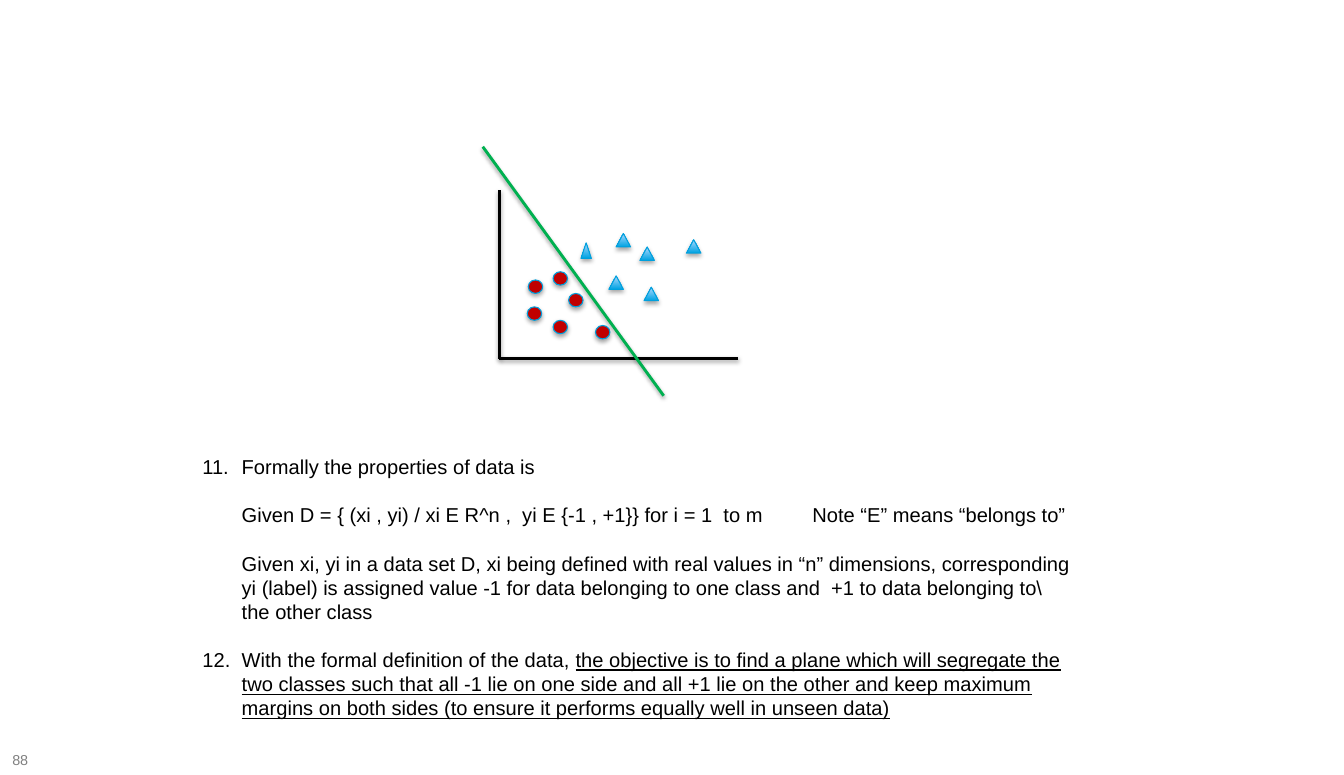
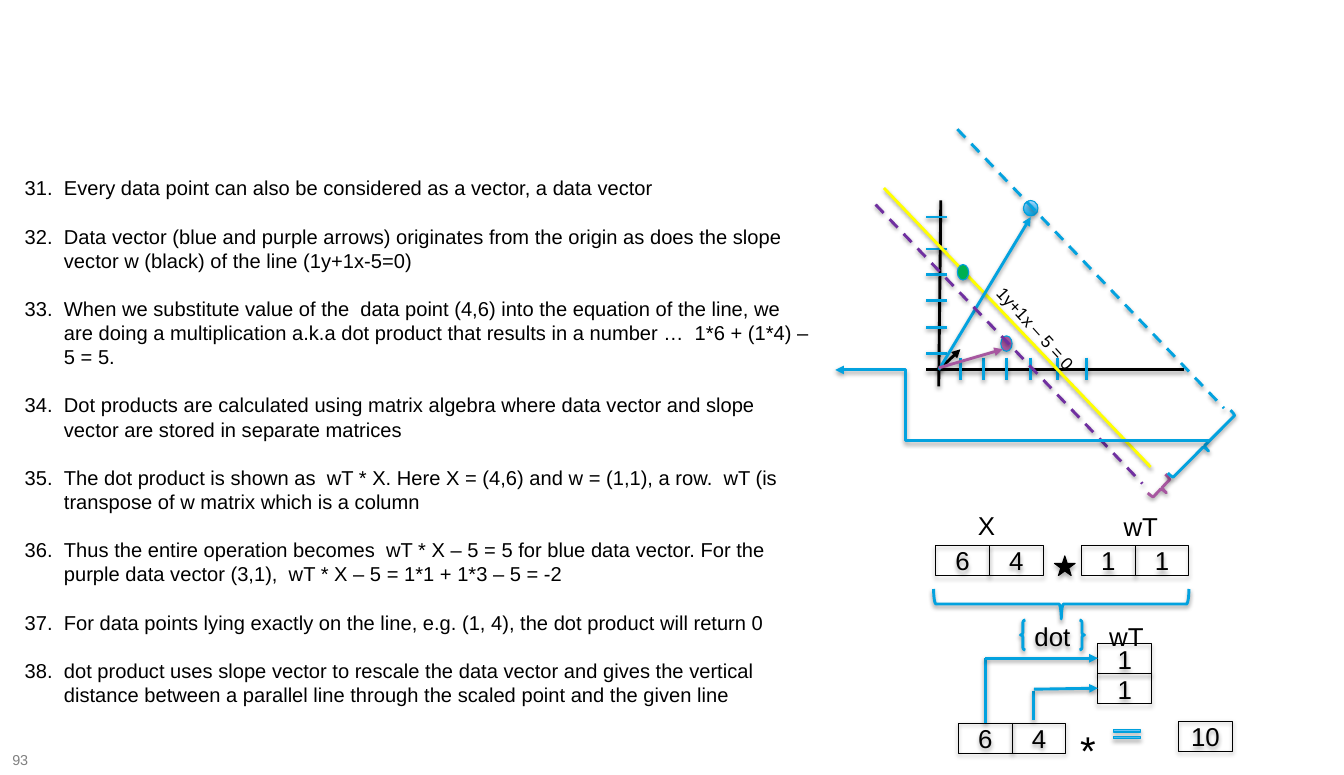
"""Build two support-vector slides: separating data by a plane, and the dot product."""
from lxml.etree import SubElement
from pptx import Presentation
from pptx.dml.color import RGBColor
from pptx.enum.dml import MSO_LINE
from pptx.enum.shapes import MSO_CONNECTOR as LINK, MSO_SHAPE as SHAPE
from pptx.enum.text import MSO_ANCHOR as ANCHOR, PP_ALIGN as ALIGN
from pptx.oxml.ns import qn
from pptx.util import Inches, Pt

BLACK = RGBColor(0x00, 0x00, 0x00)
GREY = RGBColor(0x80, 0x80, 0x80)
GREEN = RGBColor(0x00, 0xB0, 0x50)
RED = RGBColor(0xC0, 0x00, 0x00)
YELLOW = RGBColor(0xFF, 0xFF, 0x00)
VIOLET = RGBColor(0x70, 0x30, 0xA0)
PURPLE = RGBColor(0xA7, 0x57, 0xA0)
BLUE = RGBColor(0x03, 0xA2, 0xDF)
EDGE_BLUE = RGBColor(0x00, 0xA0, 0xDD)
DEEP_BLUE = RGBColor(0x00, 0xA3, 0xE2)
PALE_BLUE = RGBColor(0xAD, 0xD8, 0xFF)
GRADIENT = (DEEP_BLUE, PALE_BLUE)

FONT = "Arial"
LINE_PITCH = Pt(16.8)
INDENT = 0.38
CELL_WIDTH, CELL_HEIGHT = 0.52, 0.29
DOT = (0.14, 0.13)

PLANE_START, DATA_START = 11, 31
PLANE_NOTES = [
    {"start": PLANE_START, "runs": ["Formally the properties of data is"]},
    {"runs": ["Given D = { (xi , yi) / xi E R^n ,  yi E {-1 , +1}} for i = 1  to m\t"
              "Note “E” means “belongs to”"], "tab": 5.52},
    {"runs": ["Given xi, yi in a data set D, xi being defined with real values in “n” "
              "dimensions, corresponding"]},
    {"runs": ["yi (label) is assigned value -1 for data belonging to one class and  "
              "+1 to data belonging to\\"], "joined": True},
    {"runs": ["the other class"], "joined": True},
    {"start": PLANE_START + 1, "runs": [
        "With the formal definition of the data, ",
        "the objective is to find a plane which will segregate the two classes such that "
        "all -1 lie on one side and all +1 lie on the other and keep maximum margins on "
        "both sides (to ensure it performs equally well in unseen data)"]},
]
DATA_NOTES = [{"start": DATA_START, "runs": [text]} for text in (
    "Every data point can also be considered as a vector, a data vector",
    "Data vector (blue and purple arrows) originates from the origin as does the slope "
    "vector w (black) of the line (1y+1x-5=0)",
    "When we substitute value of the  data point (4,6) into the equation of the line, we "
    "are doing a multiplication a.k.a dot product that results in a number …  "
    "1*6 + (1*4) – 5 = 5.",
    "Dot products are calculated using matrix algebra where data vector and slope vector "
    "are stored in separate matrices",
    "The dot product is shown as  wT * X. Here X = (4,6) and w = (1,1), a row.  wT (is "
    "transpose of w matrix which is a column",
    "Thus the entire operation becomes  wT * X – 5 = 5 for blue data vector. For the "
    "purple data vector (3,1),  wT * X – 5 = 1*1 + 1*3 – 5 = -2",
    "For data points lying exactly on the line, e.g. (1, 4), the dot product will return 0",
    "dot product uses slope vector to rescale the data vector and gives the vertical "
    "distance between a parallel line through the scaled point and the given line",
)]

TRIANGLES = [(5.96, 2.26), (6.19, 2.39), (6.64, 2.32), (6.23, 2.78), (5.89, 2.67)]
CIRCLES = [(5.35, 2.63), (5.5, 2.84), (5.76, 3.15), (5.35, 3.1), (5.1, 2.97), (5.11, 2.71)]
PLANE_LINES = [
    ((4.83, 1.84), (4.83, 3.47), BLACK),
    ((7.14, 3.47), (4.83, 3.47), BLACK),
]

X_TICKS = [9.29, 9.51, 9.74, 9.97, 10.23, 10.51]
Y_TICKS = [3.42, 3.17, 2.91, 2.66, 2.41, 2.1]
PARALLEL_RUN = (2.58, 2.7)
DASHED_STARTS = [((8.47, 1.98), VIOLET), ((9.26, 1.25), BLUE)]
DATA_POINTS = [
    ((9.9, 1.94, 0.14, 0.15), GRADIENT),
    ((9.68, 3.25, 0.11, 0.15), PURPLE),
    ((9.26, 2.56, 0.11, 0.15), GREEN),
]
VECTORS = [
    ((9.1, 3.56), (9.29, 3.38), BLACK),
    ((9.08, 3.58), (9.97, 2.1), BLUE),
    ((9.08, 3.56), (9.7, 3.38), PURPLE),
]
BRACES = [
    ((11.17, 4.6, 0.13, 0.25), 43.3, PURPLE),
    ((11.58, 3.89, 0.13, 0.86), 44.9, BLUE),
    ((10.12, 4.61, 0.29, 2.47), 90, BLUE),
]
MATRICES = [
    ((10.46, 5.28), [["1", "1"]]),
    ((9.05, 5.28), [["6", "4"]]),
    ((9.27, 7), [["6", "4"]]),
    ((10.62, 6.23), [["1"], ["1"]]),
    ((11.4, 6.98), [["10"]]),
]
LABELS = [
    ((9.36, 4.88, 0.4, 0.37), "X", 18, 0),
    ((10.77, 4.89, 0.6, 0.37), "wT", 18, 0),
    ((10.63, 5.96, 0.61, 0.37), "wT", 18, 0),
    ((10.35, 6.97, 0.29, 0.53), "*", 28, 0),
    ((9.42, 3.03, 1.21, 0.28), "1y+1x – 5 = 0", 12, 47.8),
]
PRODUCT_LINKS = [
    ((9.53, 7), (9.53, 6.37), False),
    ((10, 6.97), (10, 6.69), False),
    ((9.53, 6.37), (10.62, 6.37), True),
    ((10, 6.67), (10.62, 6.66), True),
]


def apply(target, **values):
    for name, value in values.items():
        setattr(target, name, value)


def set_font(font, size, color=BLACK):
    apply(font, name=FONT, size=Pt(size))
    font.color.rgb = color


def add_shadow(properties, opacity, distance):
    effects = properties.find(qn("a:effectLst"))
    if effects is None:
        effects = SubElement(properties, qn("a:effectLst"))
    shadow = SubElement(effects, qn("a:outerShdw"), blurRad=str(Pt(3.1)),
                        dist=str(Pt(distance)), dir="5400000", rotWithShape="0")
    color = SubElement(shadow, qn("a:srgbClr"), val=str(BLACK))
    SubElement(color, qn("a:alpha"), val=str(opacity * 1000))


def add_line(slide, start, end, color, arrow=False, dashed=False, kind=LINK.STRAIGHT):
    line = slide.shapes.add_connector(kind, *map(Inches, start + end))
    line.line.color.rgb = color
    line.line.width = Pt(2)
    if dashed:
        line.line.dash_style = MSO_LINE.DASH
    if arrow:
        outline = line._element.spPr.find(qn("a:ln"))
        SubElement(outline, qn("a:tailEnd"), type="triangle")
    add_shadow(line._element.spPr, 38, 1.6)
    return line


def add_figure(slide, kind, box, fill=None, edge=EDGE_BLUE, width=0.75, rotation=0):
    shape = slide.shapes.add_shape(kind, *map(Inches, box))
    apply(shape, rotation=rotation)
    if fill is None:
        shape.fill.background()
    elif fill is GRADIENT:
        shape.fill.gradient()
        shape.fill.gradient_angle = 90
        for stop, color, position in zip(shape.fill.gradient_stops, GRADIENT, (0, 1)):
            stop.color.rgb = color
            stop.position = position
    else:
        shape.fill.solid()
        shape.fill.fore_color.rgb = fill
    shape.line.color.rgb = edge
    shape.line.width = Pt(width)
    shape.shadow.inherit = False
    add_shadow(shape._element.spPr, *((38, 1.6) if width == 2 else (35, 1.8)))
    return shape


def write(shape, text, size, color=BLACK, align=ALIGN.CENTER, anchor=ANCHOR.MIDDLE):
    apply(shape.text_frame, word_wrap=False, vertical_anchor=anchor)
    paragraph = shape.text_frame.paragraphs[0]
    apply(paragraph, text=text, alignment=align)
    set_font(paragraph.runs[0].font, size, color)


def add_label(slide, box, text, size, rotation=0, color=BLACK, anchor=ANCHOR.TOP):
    label = slide.shapes.add_textbox(*map(Inches, box))
    apply(label, rotation=rotation)
    write(label, text, size, color, ALIGN.LEFT, anchor)


def add_notes(slide, box, notes):
    frame = slide.shapes.add_textbox(*map(Inches, box)).text_frame
    apply(frame, word_wrap=True, margin_top=Inches(0.36))
    for index, note in enumerate(notes):
        paragraph = frame.add_paragraph() if index else frame.paragraphs[0]
        gap = LINE_PITCH if index and not note.get("joined") else Pt(0)
        apply(paragraph, line_spacing=LINE_PITCH, space_before=gap)
        properties = paragraph._p.get_or_add_pPr()
        properties.set("marL", str(Inches(INDENT)))
        if "start" in note:
            properties.set("indent", str(-Inches(INDENT)))
            SubElement(properties, qn("a:buFont"), typeface=FONT)
            SubElement(properties, qn("a:buAutoNum"), type="arabicPeriod",
                       startAt=str(note["start"]))
        if "tab" in note:
            tabs = SubElement(properties, qn("a:tabLst"))
            SubElement(tabs, qn("a:tab"), pos=str(Inches(note["tab"])), algn="l")
        set_font(paragraph.font, 14)
        for position, text in enumerate(note["runs"]):
            run = paragraph.add_run()
            run.text = text
            set_font(run.font, 14)
            if position:
                run.font.underline = True


def add_slide(presentation, number, box, notes):
    slide = presentation.slides.add_slide(presentation.slide_layouts[6])
    add_label(slide, (0.02, 7.27, 0.51, 0.16), number, 10, color=GREY, anchor=ANCHOR.MIDDLE)
    add_notes(slide, box, notes)
    return slide


def draw_plane(slide):
    for start, end, color in PLANE_LINES:
        add_line(slide, start, end, color)
    add_figure(slide, SHAPE.ISOSCELES_TRIANGLE, (5.62, 2.35, 0.1, 0.15), GRADIENT)
    for kind, corners, fill in ((SHAPE.ISOSCELES_TRIANGLE, TRIANGLES, GRADIENT),
                                (SHAPE.OVAL, CIRCLES, RED)):
        for corner in corners:
            add_figure(slide, kind, corner + DOT, fill)
    add_line(slide, (4.67, 1.42), (6.42, 3.83), GREEN)


def add_parallel(slide, start, color, dashed):
    end = (start[0] + PARALLEL_RUN[0], start[1] + PARALLEL_RUN[1])
    add_line(slide, start, end, color, dashed=dashed)


def draw_vectors(slide):
    add_line(slide, (11.45, 3.58), (8.96, 3.58), BLACK)
    for x in X_TICKS:
        add_line(slide, (x, 3.46), (x, 3.68), BLUE)
    add_line(slide, (9.1, 1.94), (9.08, 3.74), BLACK)
    for y in Y_TICKS:
        add_line(slide, (8.96, y), (9.16, y), BLUE)
    add_parallel(slide, (8.55, 1.82), YELLOW, dashed=False)
    for box, fill in DATA_POINTS:
        add_figure(slide, SHAPE.OVAL, box, fill)
    for start, end, color in VECTORS:
        add_line(slide, start, end, color, arrow=True)
    for start, color in DASHED_STARTS:
        add_parallel(slide, start, color, dashed=True)
    for box, rotation, color in BRACES:
        add_figure(slide, SHAPE.RIGHT_BRACE, box, edge=color, width=2, rotation=rotation)
    elbow = add_line(slide, (11.69, 4.26), (8.08, 3.58), BLUE, arrow=True, kind=LINK.ELBOW)
    geometry = elbow._element.spPr.find(qn("a:prstGeom"))
    SubElement(geometry.find(qn("a:avLst")), qn("a:gd"), name="adj1", fmla="val 81100")


def draw_product(slide):
    for (left, top), rows in MATRICES:
        for row, values in enumerate(rows):
            for column, value in enumerate(values):
                box = (left + column * CELL_WIDTH, top + row * CELL_HEIGHT,
                       CELL_WIDTH, CELL_HEIGHT)
                write(add_figure(slide, SHAPE.RECTANGLE, box, edge=BLACK), value, 18)
    for label in LABELS:
        add_label(slide, *label)
    add_figure(slide, SHAPE.STAR_5_POINT, (10.2, 5.38, 0.2, 0.19), BLACK, BLACK)
    dot = add_figure(slide, SHAPE.DOUBLE_BRACE, (9.87, 6, 0.62, 0.29), edge=BLUE, width=2)
    write(dot, "dot", 18)
    for start, end, arrow in PRODUCT_LINKS:
        add_line(slide, start, end, BLUE, arrow)
    equal = add_figure(slide, SHAPE.MATH_EQUAL, (10.72, 6.93, 0.36, 0.35), GRADIENT)
    for index, value in enumerate((0.06, 0.12)):
        equal.adjustments[index] = value


def main():
    presentation = Presentation()
    apply(presentation, slide_width=Inches(13), slide_height=Inches(7.5))
    draw_plane(add_slide(presentation, "88", (1.86, 4.04, 8.67, 3.4), PLANE_NOTES))
    vectors = add_slide(presentation, "93", (0.14, 1.34, 7.82, 5.59), DATA_NOTES)
    draw_vectors(vectors)
    draw_product(vectors)
    presentation.save("out.pptx")


if __name__ == "__main__":
    main()
